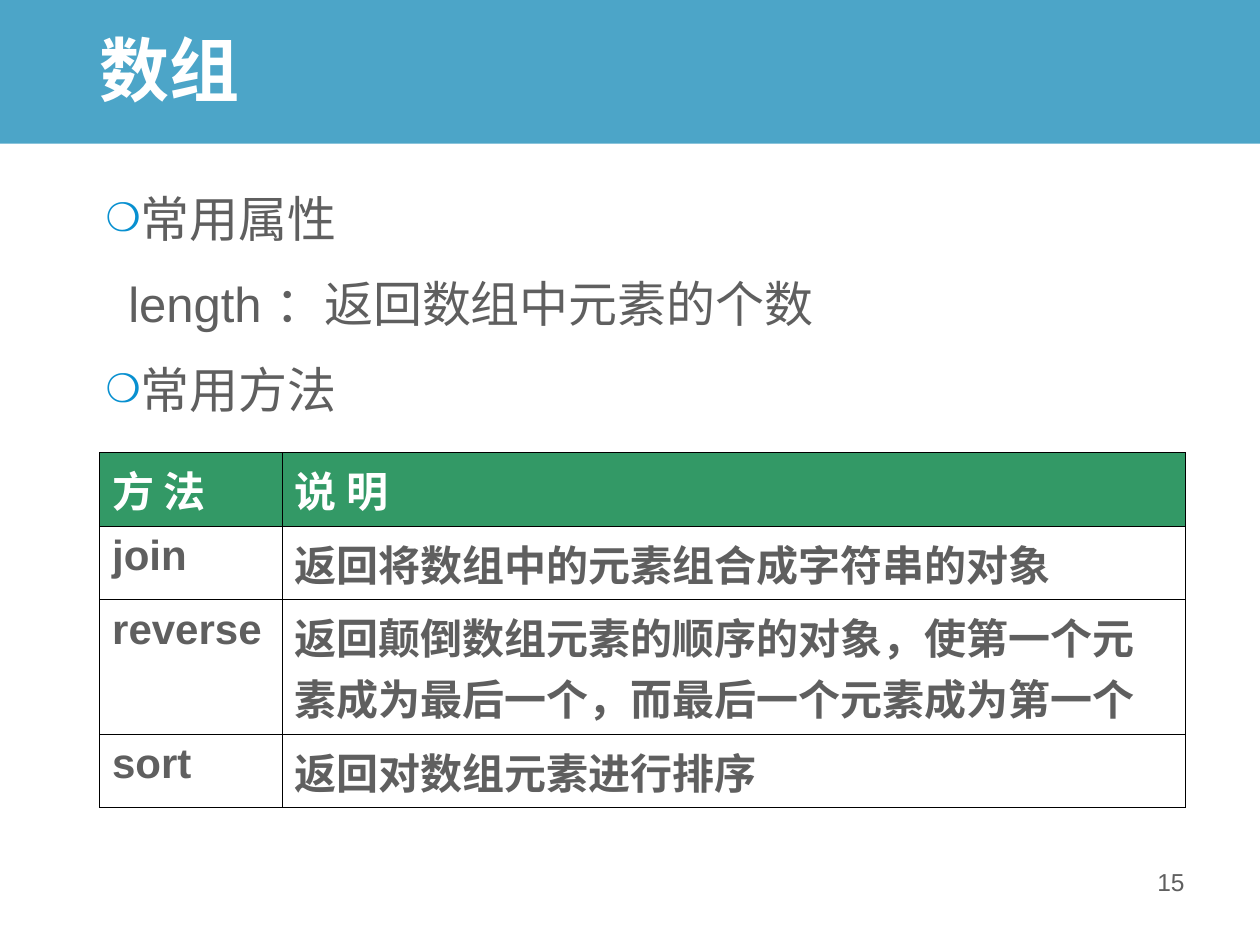
from lxml import etree
from pptx import Presentation
from pptx.dml.color import RGBColor
from pptx.enum.shapes import MSO_SHAPE
from pptx.enum.text import MSO_ANCHOR, PP_ALIGN
from pptx.oxml.ns import qn
from pptx.util import Inches, Pt

RECT = MSO_SHAPE.RECTANGLE
TOP, MID = MSO_ANCHOR.TOP, MSO_ANCHOR.MIDDLE
LEFT, RIGHT = PP_ALIGN.LEFT, PP_ALIGN.RIGHT
LATIN, HAN = "Arial", "Noto Sans CJK SC"
COLORS = {"band": "0080B2", "text": "5F5F5F", "white": "FFFFFF",
          "head": "339966", "mark": "0890D0", "rule": "000000"}


def color(name):
    return RGBColor.from_string(COLORS[name])


def add(parent, tag, **attrs):
    node = etree.SubElement(parent, qn(tag))
    for key, val in attrs.items():
        node.set(key, str(val))
    return node


class Deck:
    def __init__(self, wide, high):
        self.prs = Presentation()
        self.prs.slide_width, self.prs.slide_height = Inches(wide), Inches(high)
        self.slide = self.prs.slides.add_slide(self.prs.slide_layouts[6])

    def style(self, para, size, tint="text", bold=False, face=LATIN):
        font = para.font
        font.name, font.size, font.bold = face, Pt(size), bold
        font.color.rgb = color(tint)
        add(para._p.pPr.find(qn("a:defRPr")), "a:ea", typeface=HAN)

    def band(self, box, tint, alpha):
        shape = self.slide.shapes.add_shape(RECT, *map(Inches, box))
        shape.shadow.inherit = False
        shape.line.fill.background()
        shape.fill.solid()
        shape.fill.fore_color.rgb = color(tint)
        add(shape.fill._xPr.find(".//" + qn("a:srgbClr")), "a:alpha",
            val=alpha * 1000)

    def frame(self, box, anchor=TOP):
        frame = self.slide.shapes.add_textbox(*map(Inches, box)).text_frame
        frame.word_wrap = True
        frame.vertical_anchor = anchor
        return frame

    def label(self, box, text, size, align=LEFT, anchor=TOP, **look):
        para = self.frame(box, anchor).paragraphs[0]
        para.text, para.alignment = text, align
        self.style(para, size, **look)
        return para

    def points(self, box, items, size, gap):
        frame = self.frame(box)
        for i, (text, mark) in enumerate(items):
            para = frame.add_paragraph() if i else frame.paragraphs[0]
            para.text = text
            para.line_spacing = 1.15
            if i:
                para.space_before = Pt(gap)
            props = para._p.get_or_add_pPr()
            # Marked lines hang; plain lines are only indented
            left, hang = (0.25, -0.25) if mark else (0.18, 0)
            props.set("marL", str(Inches(left)))
            props.set("indent", str(Inches(hang)))
            if mark:
                add(add(props, "a:buClr"), "a:srgbClr", val=COLORS["mark"])
                add(props, "a:buSzPct", val=80000)
                add(props, "a:buFont", typeface=LATIN)
                add(props, "a:buChar", char=mark)
            self.style(para, size)

    def border(self, cell, width):
        props = cell._tc.get_or_add_tcPr()
        for i, side in enumerate(("a:lnL", "a:lnR", "a:lnT", "a:lnB")):
            line = etree.Element(qn(side), w=str(Pt(width)))
            add(add(line, "a:solidFill"), "a:srgbClr", val=COLORS["rule"])
            props.insert(i, line)

    def table(self, spot, cols, highs, rows, size):
        box = (*spot, sum(cols), sum(highs))
        grid = self.slide.shapes.add_table(
            len(rows), len(cols), *map(Inches, box)).table
        for col, width in zip(grid.columns, cols):
            col.width = Inches(width)
        for r, (high, row) in enumerate(zip(highs, rows)):
            grid.rows[r].height = Inches(high)
            fill, tint = ("white", "text") if r else ("head", "white")
            for c, text in enumerate(row):
                cell = grid.cell(r, c)
                cell.text = text
                cell.fill.solid()
                cell.fill.fore_color.rgb = color(fill)
                self.border(cell, 0.45)
                self.style(cell.text_frame.paragraphs[0], size, tint, True)


def main():
    deck = Deck(10, 7.5)

    # Title band
    deck.band((-0.01, -0.02, 10.01, 1.16), "band", 70)
    title = deck.label((0.69, 0.16, 8.63, 0.85), "数组", 40, anchor=MID,
                       tint="white", bold=True, face=HAN)
    title.line_spacing = 0.9

    # Properties and methods
    deck.points((0.74, 1.38, 8.66, 2.52),
                [("常用属性", "❍"),
                 ("length ：返回数组中元素的个数", None),
                 ("常用方法", "❍")], 28, 10)

    # Method table
    deck.table((0.79, 3.59), (1.45, 7.17), (0.59, 0.58, 1.07, 0.58),
               [("方 法", "说 明"),
                ("join", "返回将数组中的元素组合成字符串的对象"),
                ("reverse", "返回颠倒数组元素的顺序的对象，使第一个元素成为"
                            "最后一个，而最后一个元素成为第一个"),
                ("sort", "返回对数组元素进行排序")], 24)

    # Page number
    deck.label((7.17, 6.83, 2.33, 0.52), "15", 14, align=RIGHT)

    deck.prs.save("out.pptx")


if __name__ == "__main__":
    main()
